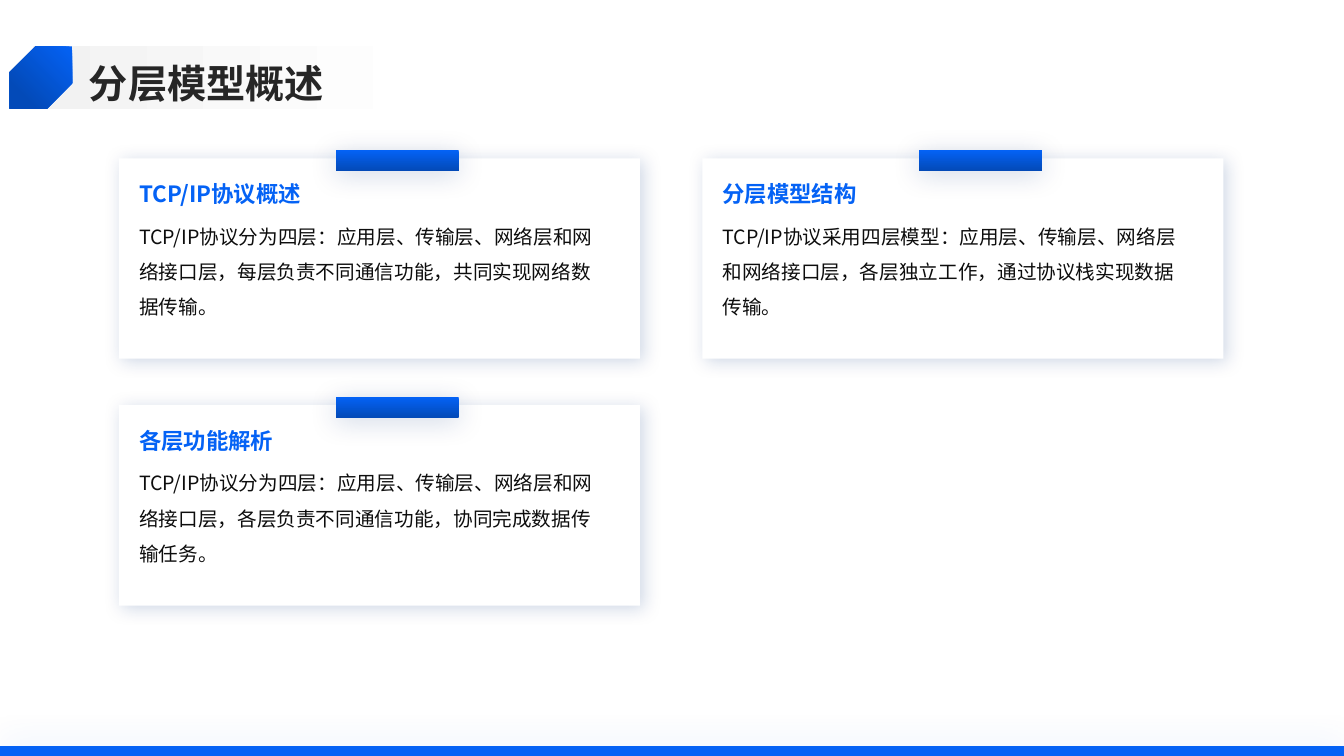
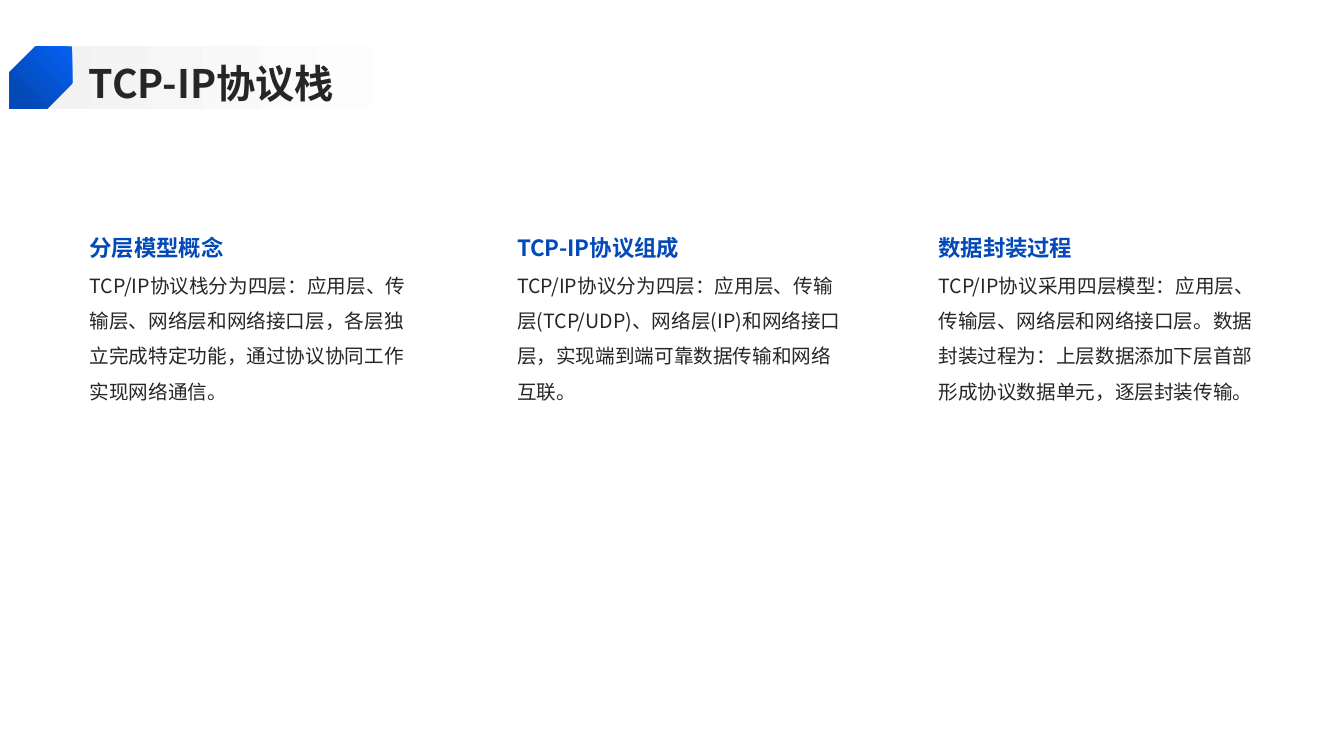
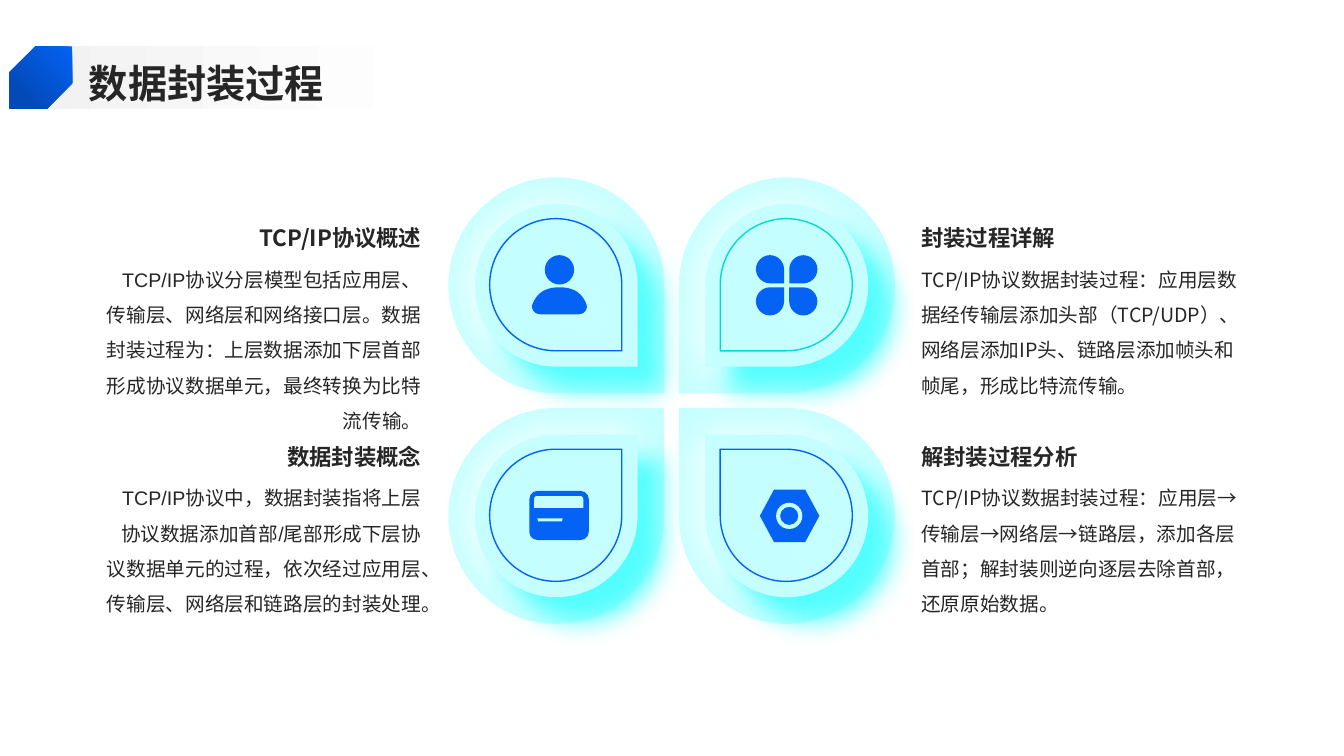
from lxml import etree
from pptx import Presentation
from pptx.dml.color import RGBColor
from pptx.enum.shapes import MSO_SHAPE
from pptx.enum.text import MSO_ANCHOR, MSO_AUTO_SIZE, PP_ALIGN
from pptx.oxml.ns import qn
from pptx.util import Cm, Pt

RECTANGLE = MSO_SHAPE.RECTANGLE
TEARDROP = MSO_SHAPE.TEAR
LEFT, RIGHT = PP_ALIGN.LEFT, PP_ALIGN.RIGHT
TOP, MIDDLE, BOTTOM = MSO_ANCHOR.TOP, MSO_ANCHOR.MIDDLE, MSO_ANCHOR.BOTTOM

BLUE = RGBColor(0x04, 0x62, 0xF5)
DEEP_BLUE = RGBColor(0x03, 0x4A, 0xB8)
SHADOW_BLUE = RGBColor(0x02, 0x31, 0x7B)
WHITE = RGBColor(0xFF, 0xFF, 0xFF)
PALE_GREY = RGBColor(0xF2, 0xF2, 0xF2)
DARK = RGBColor(0x26, 0x26, 0x26)
NEAR_BLACK = RGBColor(0x0D, 0x0D, 0x0D)
PALE_CYAN = RGBColor(0xC5, 0xFF, 0xFF)
BRIGHT_CYAN = RGBColor(0x50, 0xFF, 0xFF)
TEAL = RGBColor(0x00, 0xDA, 0xDA)

FONT = "Noto Sans CJK SC"
SLIDE_WIDTH, SLIDE_HEIGHT = 33.87, 19.05

# Column, row and rotation that turns each teardrop's point to the centre
QUADRANTS = [(0, 0, 90), (1, 0, 180), (0, 1, 0), (1, 1, 270)]

CARDS = [
    (0, 0, "TCP/IP协议概述",
     "TCP/IP协议分为四层：应用层、传输层、网络层和网络接口层，每层负责不同通信功能，共同实现网络数据传输。"),
    (0, 1, "各层功能解析",
     "TCP/IP协议分为四层：应用层、传输层、网络层和网络接口层，各层负责不同通信功能，协同完成数据传输任务。"),
    (1, 0, "分层模型结构",
     "TCP/IP协议采用四层模型：应用层、传输层、网络层和网络接口层，各层独立工作，通过协议栈实现数据传输。"),
]
COLUMNS = [
    (2.26, "分层模型概念",
     "TCP/IP协议栈分为四层：应用层、传输层、网络层和网络接口层，各层独立完成特定功能，通过协议协同工作实现网络通信。"),
    (13.03, "TCP-IP协议组成",
     "TCP/IP协议分为四层：应用层、传输层(TCP/UDP)、网络层(IP)和网络接口层，实现端到端可靠数据传输和网络互联。"),
    (23.65, "数据封装过程",
     "TCP/IP协议采用四层模型：应用层、传输层、网络层和网络接口层。数据封装过程为：上层数据添加下层首部形成协议数据单元，逐层封装传输。"),
]
PETAL_NOTES = [
    (0, 0, "TCP/IP协议概述",
     "TCP/IP协议分层模型包括应用层、传输层、网络层和网络接口层。数据封装过程为：上层数据添加下层首部形成协议数据单元，最终转换为比特流传输。"),
    (1, 0, "封装过程详解",
     "TCP/IP协议数据封装过程：应用层数据经传输层添加头部（TCP/UDP）、网络层添加IP头、链路层添加帧头和帧尾，形成比特流传输。"),
    (0, 1, "数据封装概念",
     "TCP/IP协议中，数据封装指将上层协议数据添加首部/尾部形成下层协议数据单元的过程，依次经过应用层、传输层、网络层和链路层的封装处理。"),
    (1, 1, "解封装过程分析",
     "TCP/IP协议数据封装过程：应用层→传输层→网络层→链路层，添加各层首部；解封装则逆向逐层去除首部，还原原始数据。"),
]


def add_shadow(shape, color, alpha, blur, distance, direction):
    """Give a shape an outer shadow: alpha in percent, lengths in points, angle in degrees."""
    effects = shape.element.spPr.find(qn("a:effectLst"))
    shadow = etree.SubElement(
        effects, qn("a:outerShdw"), blurRad=str(Pt(blur)), dist=str(Pt(distance)),
        dir=str(direction * 60000), algn="ctr", rotWithShape="0")
    shadow_color = etree.SubElement(shadow, qn("a:srgbClr"), val=str(color))
    etree.SubElement(shadow_color, qn("a:alpha"), val=str(alpha * 1000))


def fill_solid(shape, color):
    shape.shadow.inherit = False
    shape.fill.solid()
    shape.fill.fore_color.rgb = color
    shape.line.fill.background()


def fill_gradient(shape, start, end, end_position, angle):
    shape.fill.gradient()
    shape.fill.gradient_angle = angle
    first, last = shape.fill.gradient_stops
    first.color.rgb, first.position = start, 0
    last.color.rgb, last.position = end, end_position


def add_shape(slide, kind, left, top, width, height, color=WHITE,
              rotation=0, adjustments=(), shadow=None):
    shape = slide.shapes.add_shape(kind, Cm(left), Cm(top), Cm(width), Cm(height))
    fill_solid(shape, color)
    shape.rotation = rotation
    for index, value in enumerate(adjustments):
        shape.adjustments[index] = value
    if shadow:
        add_shadow(shape, *shadow)
    return shape


def format_text(frame, text, size, color, bold=False, font=FONT, spacing=1.0,
                align=LEFT, anchor=TOP):
    frame.word_wrap = True
    frame.auto_size = MSO_AUTO_SIZE.NONE
    frame.vertical_anchor = anchor
    frame.margin_left = frame.margin_right = frame.margin_top = frame.margin_bottom = 0
    paragraph = frame.paragraphs[0]
    paragraph.text = text
    paragraph.alignment = align
    paragraph.line_spacing = spacing
    paragraph.font.size = Pt(size)
    paragraph.font.bold = bold
    paragraph.font.color.rgb = color
    paragraph.font.name = font
    defaults = paragraph._p.pPr.find(qn("a:defRPr"))
    etree.SubElement(defaults, qn("a:ea"), typeface=FONT)


def add_text(slide, left, top, width, height, text, size, color, **style):
    box = slide.shapes.add_textbox(Cm(left), Cm(top), Cm(width), Cm(height))
    format_text(box.text_frame, text, size, color, **style)


def add_titled_slide(presentation, text):
    """Add a slide with the shared title, its fading band and its cut-corner badge."""
    slide = presentation.slides.add_slide(presentation.slide_layouts[5])
    title = slide.shapes.title
    title.left, title.top, title.width, title.height = Cm(2.24), Cm(1.37), Cm(30.18), Cm(1.3)
    format_text(title.text_frame, text, 28, DARK, bold=True, spacing=1.1, anchor=MIDDLE)
    band = add_shape(slide, RECTANGLE, 0.84, 1.17, 12.5, 1.57)
    fill_gradient(band, PALE_GREY, WHITE, 0.8, 0)
    title.element.addprevious(band.element)
    badge = add_shape(slide, MSO_SHAPE.SNIP_2_DIAG_RECTANGLE, 0.25, 1.17, 1.57, 1.57,
                      adjustments=(0.41, 0))
    fill_gradient(badge, BLUE, DEEP_BLUE, 0.8, 225)
    return slide


def add_card(slide, left, top, heading, body):
    add_shape(slide, RECTANGLE, left, top, 13.13, 5.05, shadow=(SHADOW_BLUE, 19, 13, 3, 45))
    tab = add_shape(slide, RECTANGLE, left + 5.46, top - 0.2, 3.1, 0.51,
                    shadow=(SHADOW_BLUE, 19, 20, 3, 90))
    fill_gradient(tab, BLUE, DEEP_BLUE, 1, 270)
    add_text(slide, left + 0.51, top + 0.56, 11.58, 0.91, heading, 16, BLUE, bold=True)
    add_text(slide, left + 0.51, top + 1.37, 11.58, 3.35, body, 14, NEAR_BLACK, spacing=1.5)


def add_petal(slide, left, top, rotation, outline):
    """Add a teardrop with a raised inner teardrop and a thin outline."""
    add_shape(slide, TEARDROP, left, top, 5.44, 5.44, PALE_CYAN, rotation)
    for shadow in [(WHITE, 100, 32, 3, 180), (BRIGHT_CYAN, 100, 18, 24, 45)]:
        add_shape(slide, TEARDROP, left + 0.67, top + 0.67, 4.1, 4.1, PALE_CYAN, rotation,
                  shadow=shadow)
    ring = add_shape(slide, TEARDROP, left + 1.04, top + 1.04, 3.33, 3.33, rotation=rotation,
                     shadow=(WHITE, 100, 34, 24, 45))
    ring.fill.background()
    ring.line.color.rgb = outline
    ring.line.width = Pt(1)


def curve_points(start, control_a, control_b, end, steps=12):
    """Return points along a cubic curve."""
    points = []
    for step in range(steps + 1):
        t = step / steps
        weights = ((1 - t) ** 3, 3 * t * (1 - t) ** 2, 3 * t * t * (1 - t), t ** 3)
        points.append(tuple(
            sum(weight * value for weight, value in zip(weights, values))
            for values in zip(start, control_a, control_b, end)))
    return points


def add_person_icon(slide):
    center, shoulder = 14.1, 7.24
    add_shape(slide, MSO_SHAPE.OVAL, center - 0.37, 6.43, 0.74, 0.74, BLUE)
    right_half = (curve_points((0, 0), (0.45, 0), (0.6, 0.23), (0.68, 0.43))
                  + curve_points((0.68, 0.43), (0.72, 0.56), (0.62, 0.68), (0.48, 0.68)))
    outline = right_half + [(-x, y) for x, y in reversed(right_half)]
    points = [(Cm(center + x), Cm(shoulder + y)) for x, y in outline]
    builder = slide.shapes.build_freeform(*points[0])
    builder.add_line_segments(points[1:])
    fill_solid(builder.convert_to_shape(), BLUE)


def add_clover_icon(slide):
    for column, row, rotation in QUADRANTS:
        add_shape(slide, TEARDROP, 19.05 + column * 0.84, 6.43 + row * 0.81, 0.71, 0.71,
                  BLUE, rotation)


def add_bank_card_icon(slide):
    add_shape(slide, MSO_SHAPE.ROUNDED_RECTANGLE, 13.34, 12.37, 1.5, 1.24, BLUE,
              adjustments=(0.17,))
    add_shape(slide, MSO_SHAPE.ROUND_2_SAME_RECTANGLE, 13.46, 12.5, 1.24, 0.3, PALE_CYAN,
              adjustments=(0.25, 0))
    add_shape(slide, MSO_SHAPE.TRAPEZOID, 13.54, 13.06, 0.64, 0.08, PALE_CYAN, 180)


def add_nut_icon(slide):
    add_shape(slide, MSO_SHAPE.HEXAGON, 19.15, 12.34, 1.5, 1.32, BLUE, adjustments=(0.27,))
    add_shape(slide, MSO_SHAPE.DONUT, 19.56, 12.67, 0.66, 0.66, PALE_CYAN,
              adjustments=(0.15,))


def add_petal_note(slide, column, row, heading, body):
    left, top = (2.59, 23.22)[column], 5.54 + row * 5.51
    align, body_font = ((RIGHT, "Arial"), (LEFT, FONT))[column]
    add_text(slide, left, top, 8.03, 0.79, heading, 16, DARK, bold=True, spacing=1.5,
             align=align, anchor=BOTTOM)
    add_text(slide, left, top + 0.91, 8.03, 3.91, body, 14, DARK, font=body_font,
             spacing=1.5, align=align)


def build_overview(presentation):
    slide = add_titled_slide(presentation, "分层模型概述")
    add_shape(slide, RECTANGLE, 0, SLIDE_HEIGHT - 0.25, SLIDE_WIDTH, 0.25, BLUE,
              shadow=(BLUE, 20, 25, 0, 0))
    for column, row, heading, body in CARDS:
        add_card(slide, 3 + column * 14.7, 3.99 + row * 6.22, heading, body)


def build_stack(presentation):
    slide = add_titled_slide(presentation, "TCP-IP协议栈")
    for left, heading, body in COLUMNS:
        add_text(slide, left, 5.72, 8.28, 0.99, heading, 16, DEEP_BLUE, bold=True,
                 spacing=1.1, anchor=MIDDLE)
        add_text(slide, left, 6.6, 8.28, 9.53, body, 14, DARK, spacing=1.5)


def build_encapsulation(presentation):
    slide = add_titled_slide(presentation, "数据封装过程")
    for column, row, rotation in QUADRANTS:
        outline = TEAL if (column, row) == (1, 0) else BLUE
        add_petal(slide, 11.3 + column * 5.81, 4.47 + row * 5.81, rotation, outline)
    for add_icon in (add_person_icon, add_clover_icon, add_bank_card_icon, add_nut_icon):
        add_icon(slide)
    for note in PETAL_NOTES:
        add_petal_note(slide, *note)


def main():
    presentation = Presentation()
    presentation.slide_width = Cm(SLIDE_WIDTH)
    presentation.slide_height = Cm(SLIDE_HEIGHT)
    build_overview(presentation)
    build_stack(presentation)
    build_encapsulation(presentation)
    presentation.save("out.pptx")


if __name__ == "__main__":
    main()
